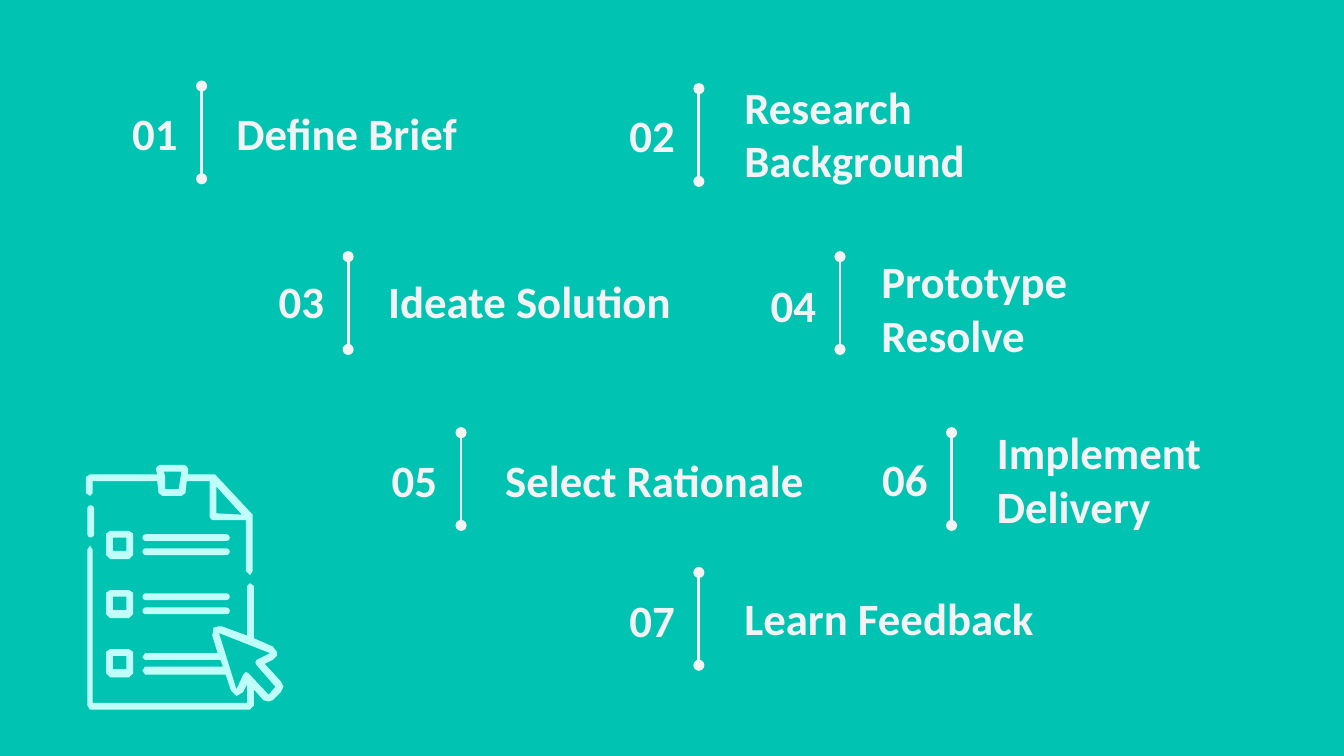
"""Build a slide with seven numbered design steps and a checklist icon."""
from lxml.etree import SubElement
from pptx import Presentation
from pptx.dml.color import RGBColor
from pptx.enum.shapes import MSO_CONNECTOR, MSO_SHAPE
from pptx.enum.text import MSO_ANCHOR, PP_ALIGN
from pptx.oxml.ns import qn
from pptx.util import Pt

LIGHT = "F3F3F3"
ICON = "C0FFF9"
UNIT = Pt(0.72)


def paint(fill, color):
    fill.solid()
    fill.fore_color.rgb = RGBColor.from_string(color)


def add_outline(group, contours):
    builder = group.shapes.build_freeform(*contours[0][0], scale=UNIT)
    for index, contour in enumerate(contours):
        if index:
            builder.move_to(*contour[0])
        builder.add_line_segments(contour[1:], close=True)
    outline = builder.convert_to_shape()
    outline.shadow.inherit = False
    paint(outline.fill, ICON)
    outline.line.fill.background()


deck = Presentation()
deck.slide_width, deck.slide_height = Pt(720), Pt(405)
page = deck.slides.add_slide(deck.slide_layouts[6])
paint(page.background.fill, "00C3B1")

steps = [
    ("Define Brief", 119.5, 54.7, 54.7, 108, 46.1),
    ("Research Background", 391.7, 54.7, 55.4, 374.4, 47.5),
    ("Ideate Solution", 200.9, 144.7, 144.7, 186.5, 137.5),
    ("Prototype Resolve", 465.1, 148.3, 146.9, 450, 137.5),
    ("Select Rationale", 263.5, 240.5, 240.5, 247, 231.8),
    ("Implement Delivery", 527, 239.8, 239.8, 509.8, 231.8),
    ("Learn Feedback", 391.7, 314.6, 315.4, 374.4, 306.7),
]
for number, (label, label_x, label_y, number_y, rule_x, rule_y) in enumerate(steps, 1):
    for text, left, top, width, align in (
        (f"{number:02}", rule_x - 51.2, number_y, 45.4, PP_ALIGN.RIGHT),
        (label, label_x, label_y, 176.4, PP_ALIGN.LEFT),
    ):
        box = page.shapes.add_textbox(Pt(left), Pt(top), Pt(width), Pt(33.1))
        frame = box.text_frame
        frame.word_wrap = True
        frame.vertical_anchor = MSO_ANCHOR.MIDDLE
        frame.margin_left = frame.margin_right = Pt(7.2)
        frame.margin_top = frame.margin_bottom = Pt(7.2)
        frame.text = text
        para = frame.paragraphs[0]
        para.alignment = align
        font = para.runs[0].font
        font.name, font.size, font.bold = "Calibri", Pt(24), True
        paint(font.fill, LIGHT)

    rule = page.shapes.add_connector(
        MSO_CONNECTOR.STRAIGHT, Pt(rule_x), Pt(rule_y), Pt(rule_x), Pt(rule_y + 49.7))
    rule.line.width = Pt(1.5)
    paint(rule.line.fill, LIGHT)
    for end in ("a:headEnd", "a:tailEnd"):
        SubElement(rule.line._get_or_add_ln(), qn(end), type="oval")
    SubElement(rule._element.spPr, qn("a:effectLst"))

icon = page.shapes.add_group_shape()

clip = [(135, 351), (133, 364), (123, 364), (123, 355), (122, 351)]
fold = [(161, 362), (180, 383), (161, 382)]
sheet_top = [
    (119, 346), (117, 347), (116, 349), (117, 353), (67, 353), (64, 355),
    (64, 367), (67, 369), (69, 367), (69, 358), (117, 358), (118, 367),
    (121, 369), (135, 369), (138, 367), (139, 358), (156, 358), (156, 385),
    (158, 387), (183, 387), (183, 425), (186, 428), (188, 425), (188, 383),
    (160, 353), (140, 353), (140, 349), (139, 347), (137, 346),
]
add_outline(icon, [clip, fold, sheet_top])

bars = [(65, 376, 5, 24)]
for row_y in (395, 439, 483):
    hole = [(94, row_y + 5), (94, row_y + 15), (84, row_y + 15), (84, row_y + 5)]
    checkbox = [
        (82, row_y), (79, row_y + 2), (79, row_y + 18), (82, row_y + 21),
        (96, row_y + 21), (99, row_y + 18), (99, row_y + 2), (96, row_y),
    ]
    add_outline(icon, [hole, checkbox])
    if row_y < 483:
        bars += [(106, row_y + offset, 65, 5) for offset in (2.5, 13)]

for bar in bars:
    pill = icon.shapes.add_shape(
        MSO_SHAPE.ROUNDED_RECTANGLE, *(Pt(length * 0.72) for length in bar))
    pill.adjustments[0] = 0.5
    pill.shadow.inherit = False
    paint(pill.fill, ICON)
    pill.line.fill.background()

pointer = [
    (163, 471), (201, 486), (191, 491), (190, 493), (191, 495), (205, 511),
    (200, 517), (185, 501), (183, 500), (181, 502), (176, 513),
]
sheet_bottom = [
    (67, 406), (65, 409), (65, 525), (67, 528), (186, 528), (189, 525),
    (189, 513), (196, 521), (200, 522), (203, 521), (209, 515), (211, 511),
    (209, 507), (197, 494), (203, 491), (206, 488), (206, 485), (203, 481),
    (189, 475), (189, 436), (186, 434), (184, 436), (184, 473), (165, 466),
    (163, 466), (159, 467), (158, 473), (162, 486), (108, 486), (106, 489),
    (108, 491), (164, 491), (166, 496), (108, 496), (106, 499), (108, 502),
    (168, 502), (172, 514), (176, 518), (181, 515), (184, 509), (184, 523),
    (69, 523), (69, 409),
]
add_outline(icon, [pointer, sheet_bottom])

deck.save("out.pptx")
